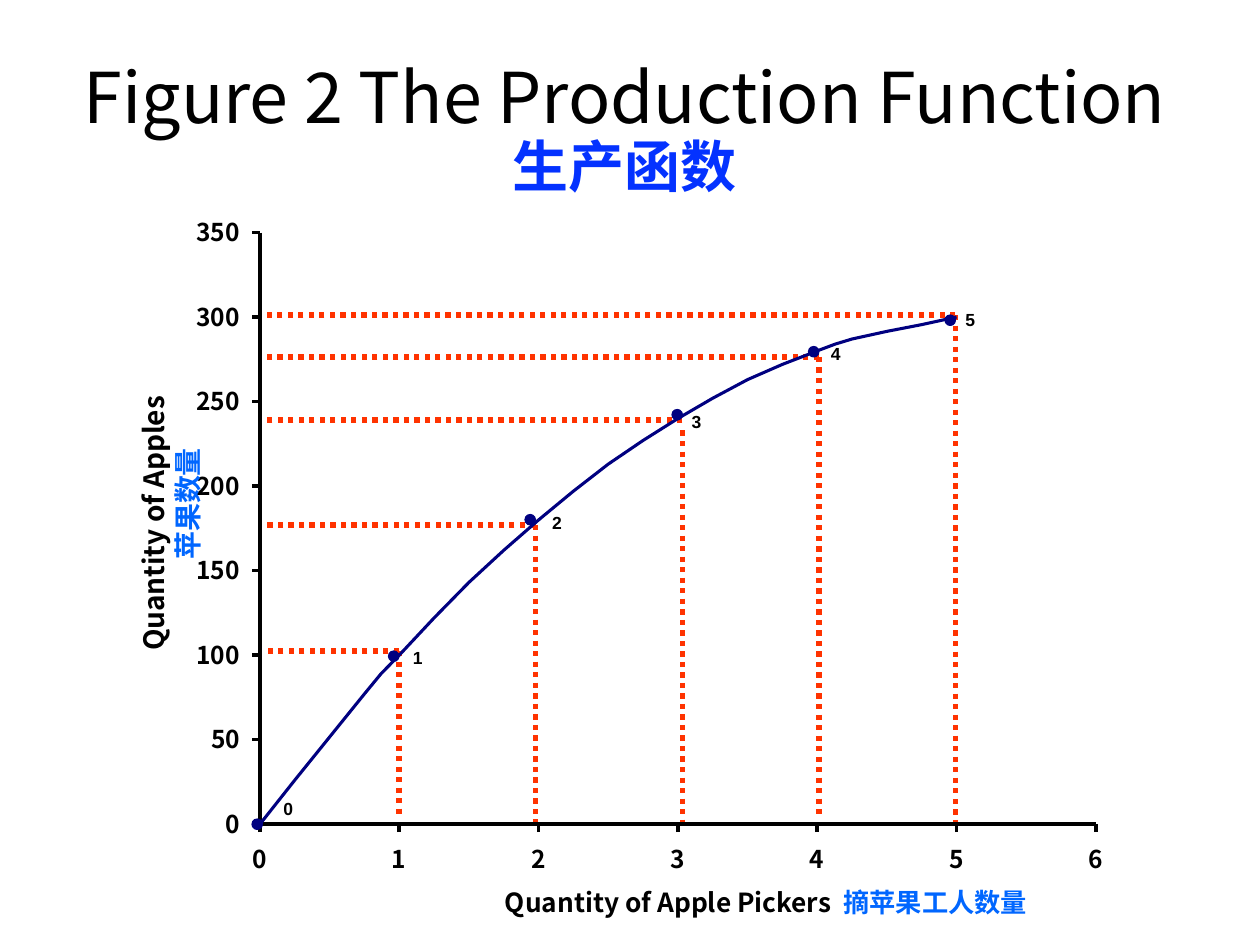
"""Draw the production function of an apple orchard on one slide."""
from dataclasses import dataclass
from itertools import pairwise
from typing import Any

import lxml.etree
import pptx
import pptx.dml.color
import pptx.enum.dml
import pptx.enum.shapes
import pptx.enum.text
import pptx.oxml.ns
import pptx.util

RGB = pptx.dml.color.RGBColor
ALIGN = pptx.enum.text.PP_ALIGN
BLACK = RGB(0x00, 0x00, 0x00)
NAVY = RGB(0x00, 0x00, 0x80)
ORANGE = RGB(0xFF, 0x33, 0x00)
AZURE = RGB(0x00, 0x66, 0xFF)
BLUE = RGB(0x04, 0x32, 0xFF)
SANS = "Noto Sans CJK SC"

WIDE, HIGH = pptx.util.Inches(10), pptx.util.Inches(7.5)
COLS, ROWS = 120, 90
CELL = WIDE / COLS
LEFT, BASE = 24.75, 78.5
STEP, RISE = 13.27, 0.161
TICK = 0.75
DIGIT = 1.4


@dataclass(frozen=True)
class Box:
    left: float
    top: float
    width: float
    height: float


@dataclass(frozen=True)
class Style:
    size: float
    color: RGB = BLACK
    bold: bool = True
    font: str = SANS


@dataclass(frozen=True)
class Guide:
    col: int
    row: int
    start: int
    foot: int


@dataclass(frozen=True)
class Stage:
    curve: tuple[tuple[float, float], ...]
    dot: tuple[int, int]
    label: str


GUIDES = (
    Guide(91, 30, 30, 79),
    Guide(65, 40, 41, 79),
    Guide(51, 50, 50, 79),
    Guide(38, 62, 62, 78),
    Guide(78, 34, 34, 78),
)
STAGES = (
    Stage(((0, 0), (0.25, 26), (0.5, 51.5), (0.75, 77), (0.87, 89), (1, 100)), (37, 62), " 1"),
    Stage(((1, 100), (1.25, 122), (1.5, 143), (1.75, 162), (2, 180)), (50, 49), " 2"),
    Stage(((2, 180), (2.25, 197), (2.5, 213), (2.75, 227), (3, 240)), (64, 39), " 3"),
    Stage(((3, 240), (3.25, 252), (3.5, 263), (3.75, 272), (4, 280)), (77, 33), " 4"),
    Stage(((4, 280), (4.13, 284), (4.25, 287), (4.5, 291.5), (4.75, 295.5), (5, 300)), (90, 30), "5"),
)
NOTE = Style(10, font="Arial")
MARK = Style(14)


def cell(count: float) -> int:
    """Turn a count of grid cells into a length."""
    return round(count * CELL)


def spot(hands: float, fruit: float) -> tuple[float, float]:
    """Give the grid column and row of a chart value."""
    return LEFT + hands * STEP, BASE - fruit * RISE


def draw_line(shapes: Any, start: tuple, end: tuple, color: RGB = BLACK,
              width: float = 0, dots: bool = False) -> None:
    """Draw a straight line between two grid points."""
    line = shapes.add_connector(pptx.enum.shapes.MSO_CONNECTOR.STRAIGHT,
                                *(cell(n) for n in (*start, *end)))
    line.line.color.rgb = color
    line.line.width = pptx.util.Pt(width)
    if dots:
        line.line.dash_style = pptx.enum.dml.MSO_LINE.ROUND_DOT
    lxml.etree.SubElement(line.element.spPr, pptx.oxml.ns.qn("a:effectLst"))


def set_font(run: Any, style: Style) -> None:
    """Give a run its font, size and colour."""
    run.font.name = style.font
    run.font.size = pptx.util.Pt(style.size)
    run.font.bold = style.bold
    run.font.color.rgb = style.color
    east = lxml.etree.SubElement(run.font._element, pptx.oxml.ns.qn("a:ea"))
    east.set("typeface", style.font)


def add_text(shapes: Any, box: Box, text: str, *styles: Style, wrap: bool = False) -> Any:
    """Add a text box without margins and style its runs in turn."""
    shape = shapes.add_textbox(cell(box.left), cell(box.top), cell(box.width), cell(box.height))
    frame = shape.text_frame
    frame.word_wrap = wrap
    frame.margin_left = frame.margin_right = frame.margin_top = frame.margin_bottom = 0
    frame.text = text
    runs = [run for part in frame.paragraphs for run in part.runs]
    for run, style in zip(runs, styles):
        set_font(run, style)
    return shape


def add_dot(shapes: Any, col: float, row: float) -> None:
    """Add a round marker one cell wide."""
    dot = shapes.add_shape(pptx.enum.shapes.MSO_SHAPE.OVAL, cell(col), cell(row), cell(1), cell(1))
    dot.shadow.inherit = False
    dot.fill.solid()
    dot.fill.fore_color.rgb = NAVY
    dot.line.color.rgb = NAVY
    dot.line.width = pptx.util.Pt(0.62)


def add_stage(shapes: Any, stage: Stage) -> None:
    """Add one stretch of the curve with its end label and marker."""
    first, *rest = [tuple(cell(n) for n in spot(*pair)) for pair in stage.curve]
    path = shapes.build_freeform(*first)
    path.add_line_segments(rest, close=False)
    curve = path.convert_to_shape()
    curve.shadow.inherit = False
    curve.fill.background()
    curve.line.color.rgb = NAVY
    curve.line.width = pptx.util.Pt(1.75)
    col, row = spot(*stage.curve[-1])
    add_text(shapes, Box(col + 0.85, row - 0.75, len(stage.label) * 0.75, 2), stage.label, NOTE)
    add_dot(shapes, *stage.dot)


def add_axes(shapes: Any) -> None:
    """Add both axes with their ticks and numbers."""
    draw_line(shapes, spot(0, 350), spot(0, 0))
    draw_line(shapes, spot(0, 0), spot(6, 0))
    for fruit in range(0, 351, 50):
        col, row = spot(0, fruit)
        draw_line(shapes, (col - TICK, row), (col, row))
        width = DIGIT * len(str(fruit))
        add_text(shapes, Box(22.9 - width, row - 1.45, width, 2.75), str(fruit), MARK)
    for hands in range(7):
        col, row = spot(hands, 0)
        draw_line(shapes, (col, row + TICK), (col, row))
        add_text(shapes, Box(col - DIGIT / 2, row + 1.9, DIGIT, 2.75), str(hands), MARK)


def add_names(shapes: Any) -> None:
    """Add the title and the names of the axes."""
    title = add_text(shapes, Box(3, 5, 113, 15), "Figure 2 The Production Function\v生产函数",
                     Style(40, bold=False), Style(32, BLUE), wrap=True).text_frame
    title.vertical_anchor = pptx.enum.text.MSO_ANCHOR.MIDDLE
    title.paragraphs[0].alignment = ALIGN.CENTER
    title.paragraphs[0].line_spacing = 0.9
    under = add_text(shapes, Box(48.1, 84.4, 51.1, 3), "Quantity of Apple Pickers  ", Style(15))
    run = under.text_frame.paragraphs[0].add_run()
    run.text = "摘苹果工人数量"
    set_font(run, Style(15, AZURE))
    side = add_text(shapes, Box(2.2, 44.8, 28, 6.4), "Quantity of Apples\n苹果数量",
                    Style(16), Style(16, AZURE), wrap=True)
    side.rotation = 270
    side.text_frame.paragraphs[1].alignment = ALIGN.CENTER


def main() -> None:
    """Build and save the slide."""
    deck = pptx.Presentation()
    deck.slide_width, deck.slide_height = WIDE, HIGH
    shapes = deck.slides.add_slide(deck.slide_layouts[6]).shapes
    for guide in GUIDES:
        pair = shapes.add_group_shape().shapes
        for start, end in (((guide.col, guide.row), (25, guide.row)),
                           ((guide.col, guide.start), (guide.col, guide.foot))):
            draw_line(pair, start, end, ORANGE, 3, dots=True)
    add_axes(shapes)
    add_names(shapes)
    origin = shapes.add_group_shape().shapes
    add_dot(origin, 24, 78)
    add_text(origin, Box(27, 76, 1, 2), "0", NOTE)
    for stage in STAGES:
        add_stage(shapes.add_group_shape().shapes, stage)
    deck.save("out.pptx")


if __name__ == "__main__":
    main()
